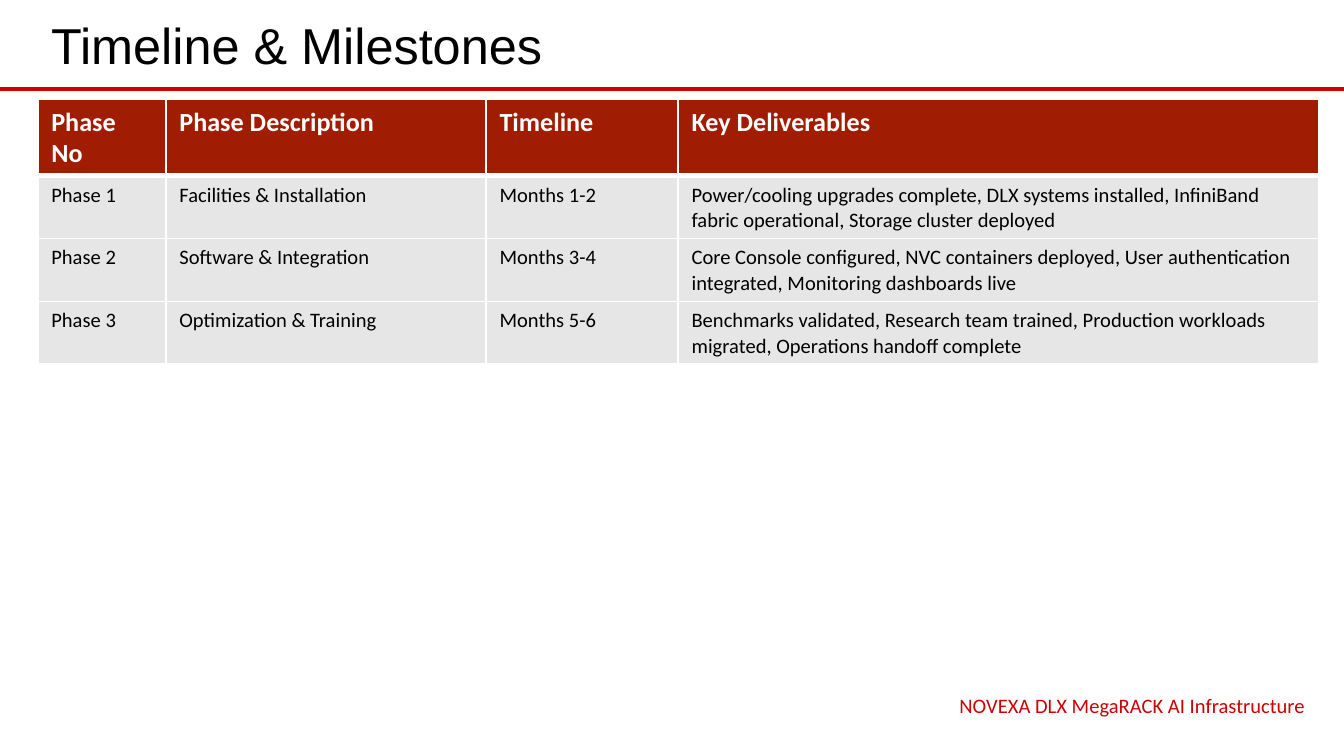
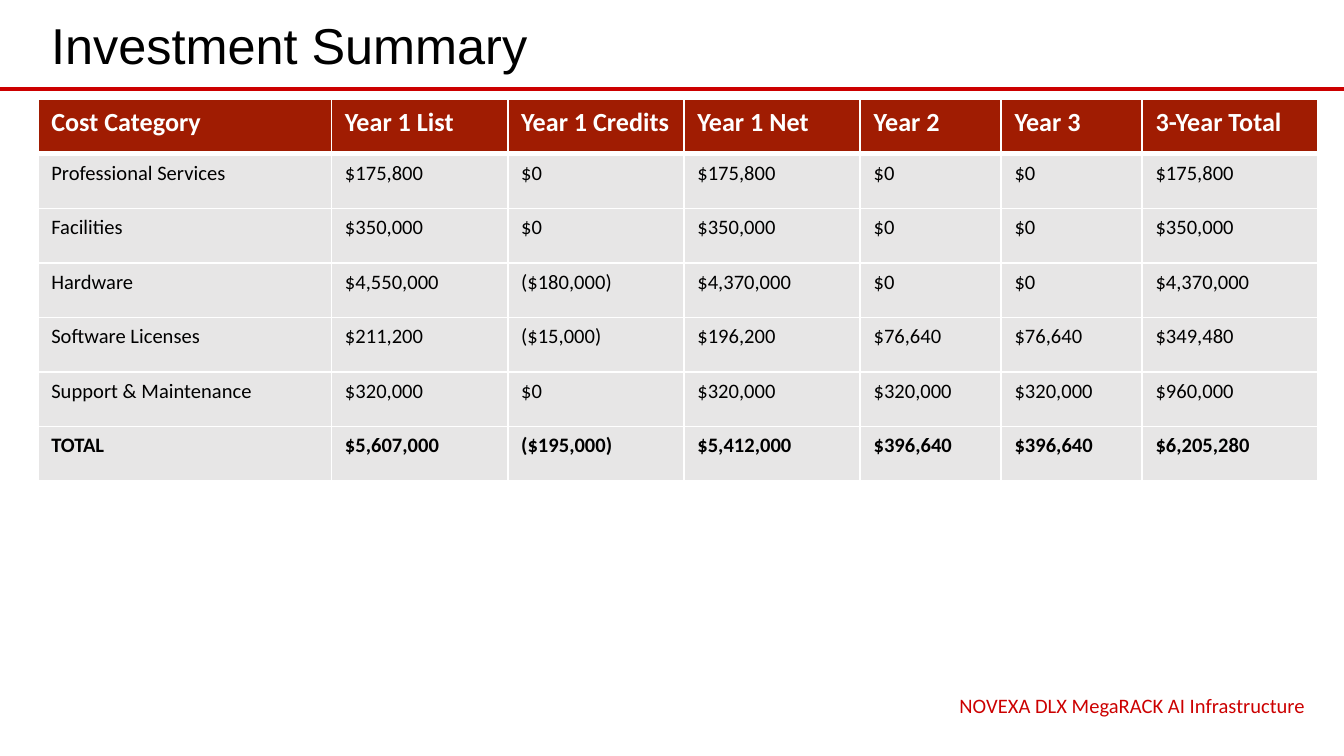
import dataclasses

import pptx
import pptx.dml.color
import pptx.enum.shapes
import pptx.enum.text
import pptx.oxml
import pptx.oxml.ns
import pptx.util

Pt = pptx.util.Pt
Align = pptx.enum.text.PP_ALIGN
NS = pptx.oxml.ns.nsdecls("a")


@dataclasses.dataclass(frozen=True)
class Theme:
    red: str = "CC0000"
    brick: str = "A01C02"
    grey: str = "E7E6E6"
    white: str = "FFFFFF"
    black: str = "000000"
    head: str = "Arial"
    body: str = "Calibri"
    title: float = 27
    label: float = 14
    small: float = 11


THEME = Theme()
WIDE, HIGH = 720, 405
LEFT, SPAN = 20.3, 686
ROW = 29.2
FOOTER = "NOVEXA DLX MegaRACK AI Infrastructure"

PHASES = [
    ["Phase No", "Phase Description", "Timeline", "Key Deliverables"],
    ["Phase 1", "Facilities & Installation", "Months 1-2",
     "Power/cooling upgrades complete, DLX systems installed, InfiniBand "
     "fabric operational, Storage cluster deployed"],
    ["Phase 2", "Software & Integration", "Months 3-4",
     "Core Console configured, NVC containers deployed, User "
     "authentication integrated, Monitoring dashboards live"],
    ["Phase 3", "Optimization & Training", "Months 5-6",
     "Benchmarks validated, Research team trained, Production workloads "
     "migrated, Operations handoff complete"],
]
COSTS = [
    ["Cost Category", "Year 1 List", "Year 1 Credits", "Year 1 Net",
     "Year 2", "Year 3", "3-Year Total"],
    ["Professional Services", "$175,800", "$0", "$175,800", "$0", "$0", "$175,800"],
    ["Facilities", "$350,000", "$0", "$350,000", "$0", "$0", "$350,000"],
    ["Hardware", "$4,550,000", "($180,000)", "$4,370,000", "$0", "$0", "$4,370,000"],
    ["Software Licenses", "$211,200", "($15,000)", "$196,200",
     "$76,640", "$76,640", "$349,480"],
    ["Support & Maintenance", "$320,000", "$0", "$320,000",
     "$320,000", "$320,000", "$960,000"],
    ["TOTAL", "$5,607,000", "($195,000)", "$5,412,000",
     "$396,640", "$396,640", "$6,205,280"],
]


def rgb(code):
    return pptx.dml.color.RGBColor.from_string(code)


def style(frame, face, size, color, bold=False, align=Align.LEFT):
    for para in frame.paragraphs:
        para.alignment = align
        for run in para.runs:
            run.font.name = face
            run.font.size = Pt(size)
            run.font.bold = bold
            run.font.color.rgb = rgb(color)


def add_text(slide, text, box, *look, **more):
    frame = slide.shapes.add_textbox(*map(Pt, box)).text_frame
    frame.word_wrap = True
    frame.vertical_anchor = pptx.enum.text.MSO_ANCHOR.MIDDLE
    frame.text = text
    style(frame, *look, **more)


def add_rule(slide, top):
    kind = pptx.enum.shapes.MSO_CONNECTOR.STRAIGHT
    rule = slide.shapes.add_connector(kind, Pt(0), Pt(top), Pt(WIDE), Pt(top))
    rule.line.color.rgb = rgb(THEME.red)
    rule.line.width = Pt(2.25)
    rule._element.spPr.append(pptx.oxml.parse_xml(f"<a:effectLst {NS}/>"))


def set_edges(cell, top, low):
    """Draw white borders; top and low are the widths above and below."""
    props = cell._tc.get_or_add_tcPr()
    for side, width in {"L": 1, "R": 1, "T": top, "B": low}.items():
        props.append(pptx.oxml.parse_xml(
            f'<a:ln{side} {NS} w="{Pt(width)}"><a:solidFill>'
            f'<a:srgbClr val="{THEME.white}"/></a:solidFill></a:ln{side}>'))


def add_table(slide, rows, shares):
    """Share the full width among the columns; the first row is the header."""
    box = (LEFT, 53.3, SPAN, ROW * len(rows))
    table = slide.shapes.add_table(len(rows), len(shares), *map(Pt, box)).table
    for col, share in zip(table.columns, shares):
        col.width = Pt(SPAN * share / sum(shares))
    for r, row in enumerate(rows):
        table.rows[r].height = Pt(ROW)
        head = r == 0
        size = THEME.label if head else THEME.small
        ink = THEME.white if head else THEME.black
        for c, text in enumerate(row):
            cell = table.cell(r, c)
            cell.text_frame.text = text
            style(cell.text_frame, THEME.body, size, ink,
                  bold=head or row[0] == "TOTAL")
            set_edges(cell, 3 if r == 1 else 1, 3 if head else 1)
            cell.fill.solid()
            cell.fill.fore_color.rgb = rgb(THEME.brick if head else THEME.grey)


def add_slide(deck, title, rows, shares):
    slide = deck.slides.add_slide(deck.slide_layouts[6])
    add_rule(slide, 47.5)
    add_text(slide, title, (LEFT, 2.9, SPAN, 41.8),
             THEME.head, THEME.title, THEME.black)
    add_table(slide, rows, shares)
    add_text(slide, FOOTER, (452.9, 368.6, 253.4, 18.7),
             THEME.body, THEME.small, THEME.red, align=Align.RIGHT)


def main():
    deck = pptx.Presentation()
    deck.slide_width, deck.slide_height = Pt(WIDE), Pt(HIGH)
    add_slide(deck, "Timeline & Milestones", PHASES, [1, 2.5, 1.5, 5])
    add_slide(deck, "Investment Summary", COSTS, [5, 3, 3, 3, 2.4, 2.4, 3])
    deck.save("out.pptx")


if __name__ == "__main__":
    main()
